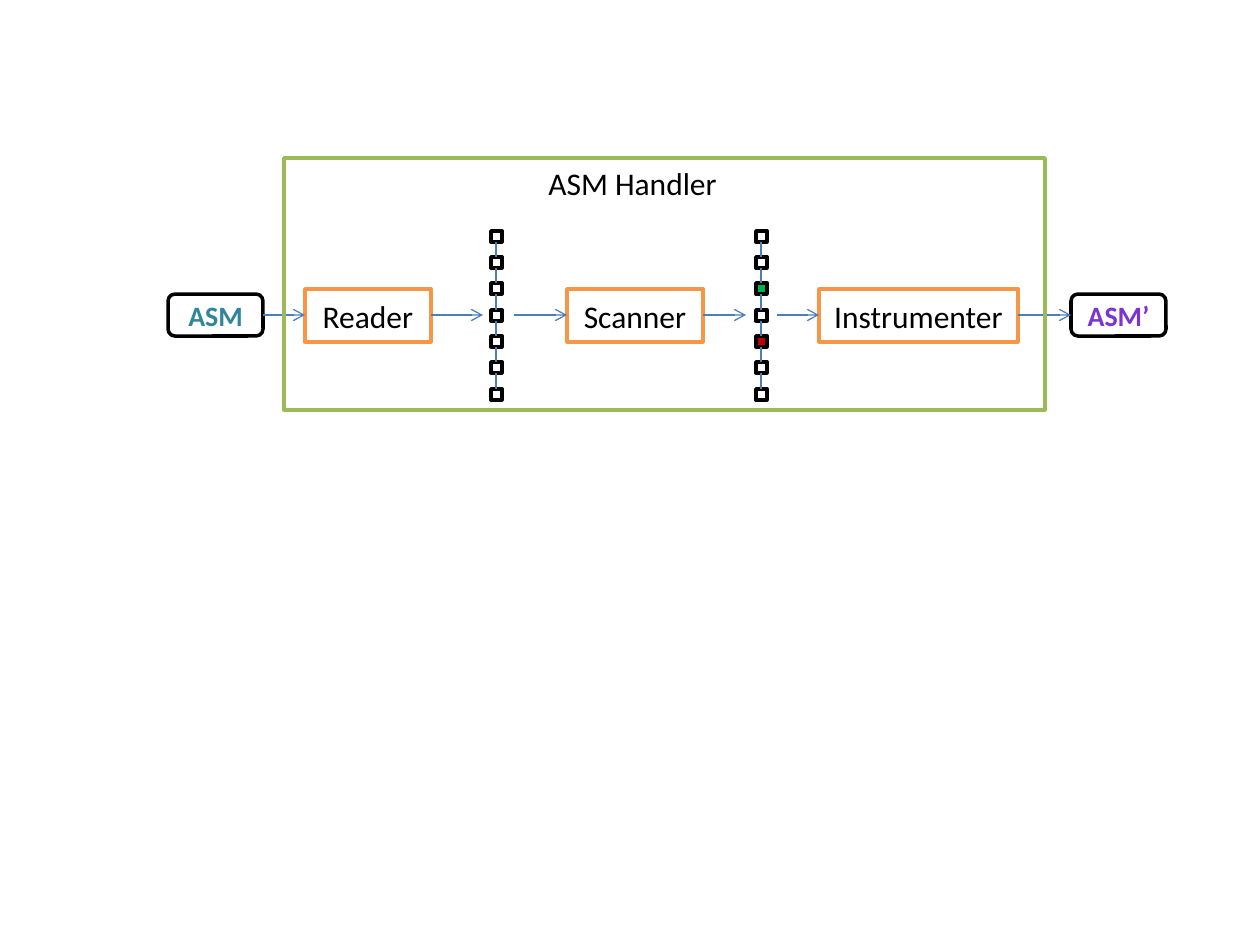
from dataclasses import dataclass

from lxml import etree
from pptx import Presentation
from pptx.dml.color import RGBColor
from pptx.enum.shapes import MSO_CONNECTOR, MSO_SHAPE
from pptx.enum.text import MSO_ANCHOR, MSO_AUTO_SIZE, PP_ALIGN
from pptx.oxml.ns import qn
from pptx.shapes.autoshape import Shape
from pptx.util import Emu, Pt

RECT = MSO_SHAPE.RECTANGLE
ROUNDED = MSO_SHAPE.ROUNDED_RECTANGLE
STRAIGHT = MSO_CONNECTOR.STRAIGHT
MIDDLE = MSO_ANCHOR.MIDDLE
CENTER = PP_ALIGN.CENTER
GROW = MSO_AUTO_SIZE.SHAPE_TO_FIT_TEXT

EMU_PER_PIXEL = 914400 / 126
FONT = "Calibri"
WHITE, BLACK = "FFFFFF", "000000"
ORANGE, GREEN, BLUE = "F79646", "9BBB59", "4B7EBC"
TEAL, PURPLE = "31859C", "7B34D2"
ADDED, REMOVED = "00B050", "C00000"

AXIS_Y = 315
BEAD_SIZE, BEAD_TOP, BEAD_SPAN, BEAD_COUNT = 11, 231, 158, 7


@dataclass(frozen=True)
class Node:
    label: str
    left: int
    width: int
    height: int
    outline: str
    color: str = BLACK
    size: int = 18
    bold: bool = False
    kind: int = RECT


@dataclass(frozen=True)
class Chain:
    left: int
    marked: dict[int, str]


STAGES = [
    Node("Reader", 305, 126, 53, ORANGE),
    Node("Scanner", 567, 136, 53, ORANGE),
    Node("Instrumenter", 819, 199, 53, ORANGE),
]
ENDS = [
    Node("ASM’", 1071, 95, 42, BLACK, PURPLE, 16, True, ROUNDED),
    Node("ASM", 168, 95, 42, BLACK, TEAL, 16, True, ROUNDED),
]
CHAINS = [Chain(491, {}), Chain(756, {2: ADDED, 4: REMOVED})]
ARROWS = [(263, 305), (431, 483), (514, 567), (703, 746), (777, 819), (1018, 1071)]


def px(pixels: int) -> Emu:
    return Emu(round(pixels * EMU_PER_PIXEL))


def rgb(value: str) -> RGBColor:
    return RGBColor.from_string(value)


def add_box(shapes, kind: int, left: int, top: int, width: int, height: int,
            outline: str, fill: str | None = WHITE) -> Shape:
    box = shapes.add_shape(kind, px(left), px(top), px(width), px(height))
    box.shadow.inherit = False
    if fill is None:
        box.fill.background()
    else:
        box.fill.solid()
        box.fill.fore_color.rgb = rgb(fill)
    box.line.color.rgb = rgb(outline)
    box.line.width = Pt(2)
    return box


def write(box: Shape, text: str, size: int, color: str, bold: bool = False) -> None:
    para = box.text_frame.paragraphs[0]
    para.text = text
    para.font.name = FONT
    para.font.size = Pt(size)
    para.font.bold = bold
    para.font.color.rgb = rgb(color)


def add_line(shapes, x1: int, y1: int, x2: int, y2: int, arrow: bool = False) -> None:
    line = shapes.add_connector(STRAIGHT, px(x1), px(y1), px(x2), px(y2))
    line.line.color.rgb = rgb(BLUE)
    line.line.width = Pt(0.75)
    if arrow:
        etree.SubElement(line.line._get_or_add_ln(), qn("a:tailEnd"), type="arrow")
    etree.SubElement(line._element.spPr, qn("a:effectLst"))


def add_node(shapes, node: Node) -> None:
    top = AXIS_Y - node.height // 2
    box = add_box(shapes, node.kind, node.left, top, node.width, node.height, node.outline)
    box.text_frame.vertical_anchor = MIDDLE
    write(box, node.label, node.size, node.color, node.bold)
    box.text_frame.paragraphs[0].alignment = CENTER


def add_chain(shapes, chain: Chain) -> None:
    group = shapes.add_group_shape().shapes
    center = chain.left + BEAD_SIZE // 2
    tops = [BEAD_TOP + BEAD_SPAN * i // (BEAD_COUNT - 1) for i in range(BEAD_COUNT)]
    for i, top in enumerate(tops):
        add_box(group, RECT, chain.left, top, BEAD_SIZE, BEAD_SIZE,
                BLACK, chain.marked.get(i, WHITE))
        if i > 0:
            add_line(group, center, tops[i - 1] + BEAD_SIZE, center, top)


deck = Presentation()
deck.slide_width, deck.slide_height = px(1260), px(945)
page = deck.slides.add_slide(deck.slide_layouts[6])
shapes = page.shapes

# Instruction chains and the boxes between them
add_chain(shapes, CHAINS[0])
for stage in STAGES:
    add_node(shapes, stage)
add_chain(shapes, CHAINS[1])
for end in ENDS:
    add_node(shapes, end)

# Flow from input to output
for start, stop in ARROWS:
    add_line(shapes, start, AXIS_Y, stop, AXIS_Y, arrow=True)

# Handler frame and its label
add_box(shapes, RECT, 284, 158, 761, 252, GREEN, fill=None)
label = shapes.add_textbox(px(536), px(158), px(199), px(51))
label.text_frame.word_wrap = True
label.text_frame.auto_size = GROW
write(label, "ASM Handler", 18, BLACK)

deck.save("out.pptx")
